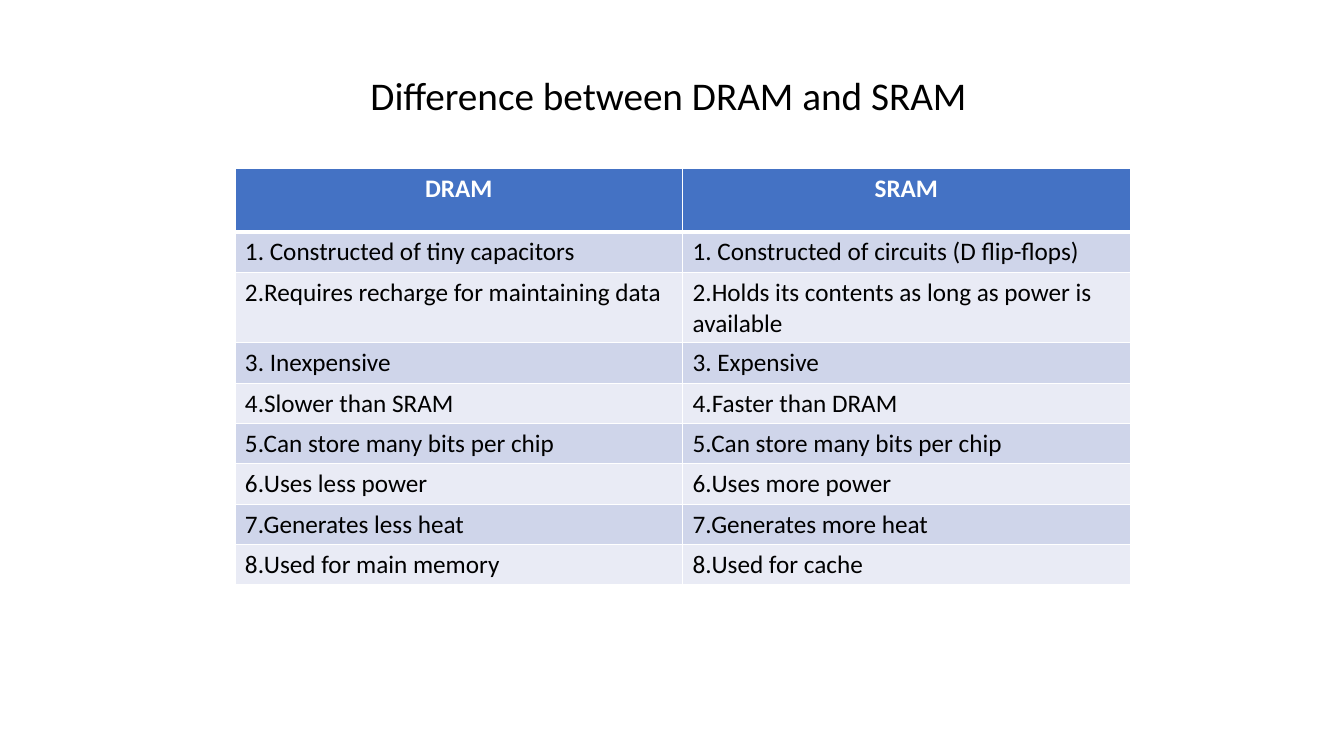
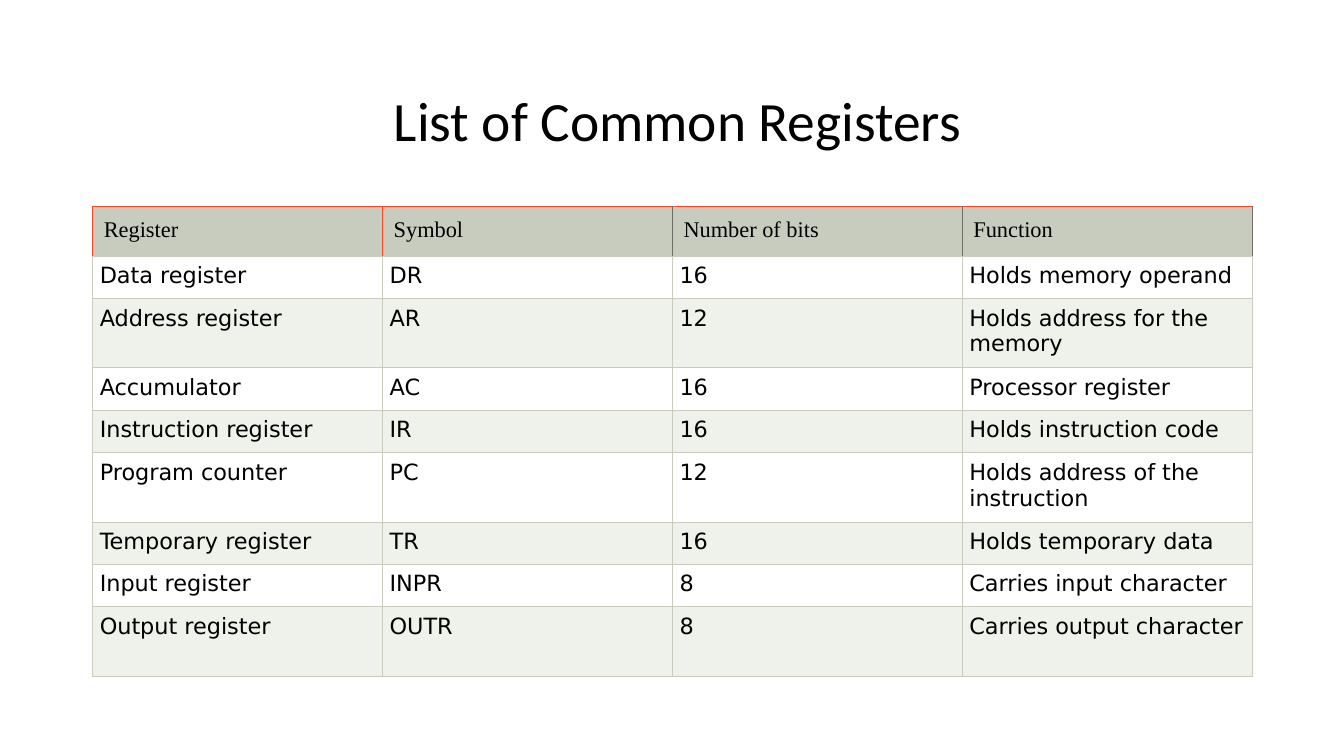
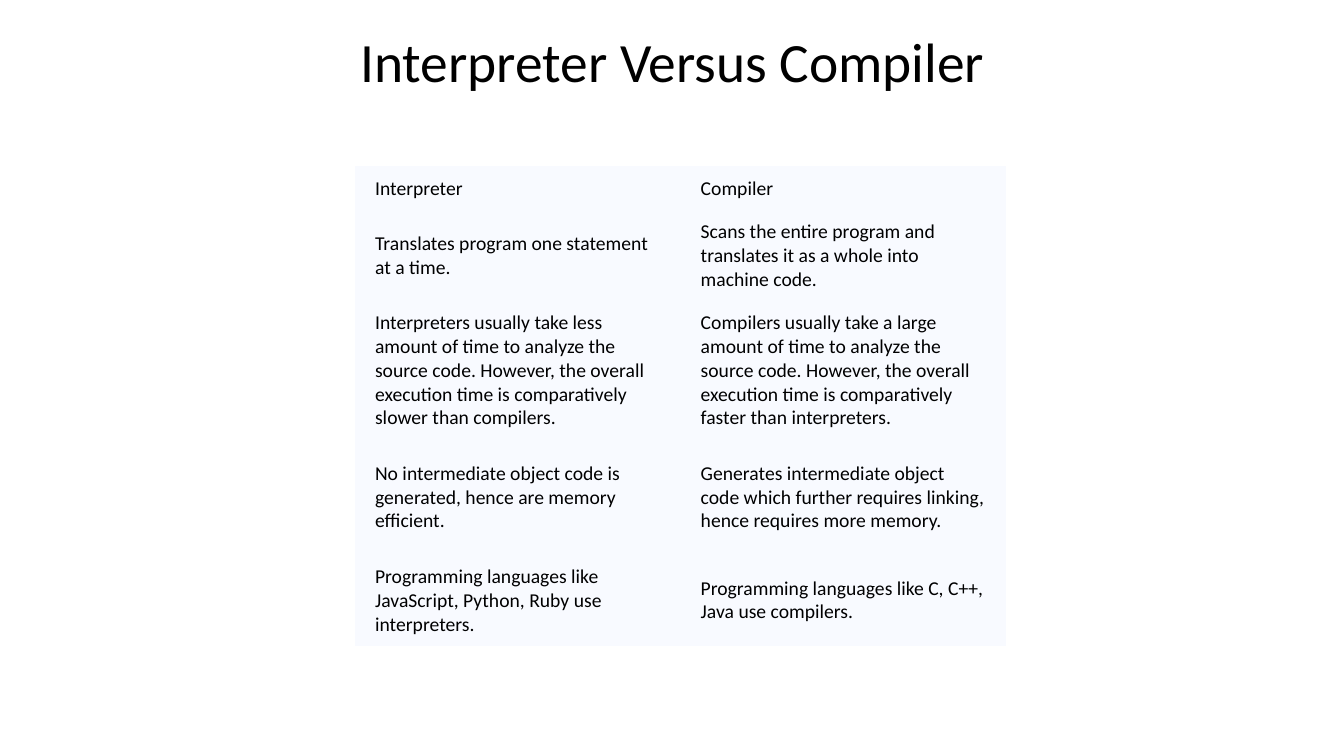
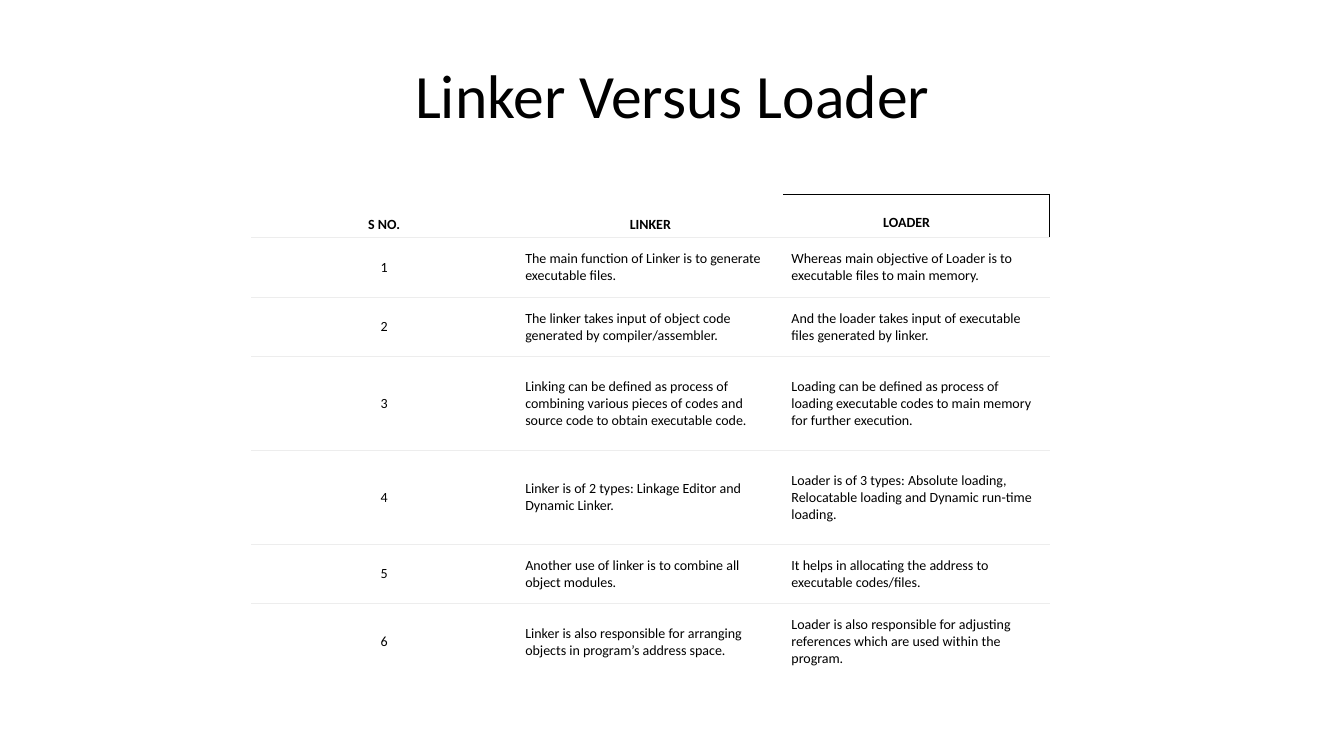
from lxml import etree
from pptx import Presentation
from pptx.dml.color import RGBColor
from pptx.enum.text import MSO_ANCHOR, PP_ALIGN
from pptx.oxml.ns import qn
from pptx.util import Inches, Pt

LEFT, CENTER = PP_ALIGN.LEFT, PP_ALIGN.CENTER
TOP, MIDDLE, BOTTOM = MSO_ANCHOR.TOP, MSO_ANCHOR.MIDDLE, MSO_ANCHOR.BOTTOM

BLACK, WHITE = "000000", "FFFFFF"
BLUE, BLUE_BAND, PALE_BLUE_BAND = "4472C4", "CFD5EA", "E9EBF5"
OLIVE, OLIVE_BAND = "C7CCBE", "EFF1EB"
GHOST = "F8FAFF"
TITLE_FONT = "Calibri"
TITLE_WIDTH, TITLE_HEIGHT = 11.5, 1.0

# Borders are (colour, points); a side that is not listed has no line.
THIN_WHITE, THICK_WHITE = (WHITE, 1), (WHITE, 3)
OLIVE_LINE, RED_LINE, DARK_LINE = (OLIVE, 0.75), ("F84928", 0.75), ("6B7060", 0.75)
GRAY_LINE = ("EDEDED", 0.75)
HEADER_VERTICALS = [RED_LINE, RED_LINE, DARK_LINE, DARK_LINE, DARK_LINE]


def text_style(font, size, color=BLACK, bold=False, align=LEFT, anchor=TOP, inset=(0.1, 0.05)):
    return dict(font=font, size=size, color=color, bold=bold, align=align,
                anchor=anchor, inset=inset)


INTERPRETER_STYLE = text_style("Calibri", 14, anchor=MIDDLE, inset=(0.2, 0.1))

SLIDES = [
    {
        "title": "Difference between DRAM and SRAM",
        "title_size": 28, "title_left": 0.88, "title_middle": 0.97,
        "left": 2.33, "top": 1.67, "column_width": 4.44,
        "row_heights": [0.63, 0.4, 0.7] + [0.4] * 6,
        "header": text_style("Calibri", 18, WHITE, bold=True, align=CENTER),
        "body": text_style("Calibri", 18),
        "header_fill": BLUE, "bands": [BLUE_BAND, PALE_BLUE_BAND],
        "borders": dict.fromkeys("LRTB", THIN_WHITE),
        "header_borders": {"B": THICK_WHITE},
        "rows": [
            ("DRAM", "SRAM"),
            ("1. Constructed of tiny capacitors", "1. Constructed of circuits (D flip-flops)"),
            ("2.Requires recharge for maintaining data",
             "2.Holds its contents as long as power is available"),
            ("3. Inexpensive", "3. Expensive"),
            ("4.Slower than SRAM", "4.Faster than DRAM"),
            ("5.Can store many bits per chip", "5.Can store many bits per chip"),
            ("6.Uses less power", "6.Uses more power"),
            ("7.Generates less heat", "7.Generates more heat"),
            ("8.Used for main memory", "8.Used for cache"),
        ],
    },
    {
        "title": "List of Common Registers",
        "title_size": 39.6, "title_left": 0.97, "title_middle": 1.23,
        "left": 0.92, "top": 2.05, "column_width": 2.875,
        "row_heights": [0.49, 0.42, 0.69, 0.42, 0.42, 0.69, 0.42, 0.42, 0.69],
        "header": text_style("Times New Roman", 16, inset=(0.11, 0.11)),
        "body": text_style("DejaVu Sans", 16, inset=(0.07, 0.07)),
        "header_fill": OLIVE, "bands": [WHITE, OLIVE_BAND],
        "borders": dict.fromkeys("LRTB", OLIVE_LINE),
        "header_borders": {"T": RED_LINE},
        "cell_borders": {
            (0, column): {"L": HEADER_VERTICALS[column], "R": HEADER_VERTICALS[column + 1]}
            for column in range(4)
        },
        "rows": [
            ("Register", "Symbol", "Number of bits", "Function"),
            ("Data register", "DR", "16", "Holds memory operand"),
            ("Address register", "AR", "12", "Holds address for the memory"),
            ("Accumulator", "AC", "16", "Processor register"),
            ("Instruction register", "IR", "16", "Holds instruction code"),
            ("Program counter", "PC", "12", "Holds address of the instruction"),
            ("Temporary register", "TR", "16", "Holds temporary data"),
            ("Input register", "INPR", "8", "Carries input character"),
            ("Output register", "OUTR", "8", "Carries output character"),
        ],
    },
    {
        "title": "Interpreter Versus Compiler",
        "title_size": 39.6, "title_left": 0.92, "title_middle": 0.64,
        "left": 3.52, "top": 1.65, "column_width": 3.23,
        "row_heights": [0.43, 0.9, 1.38, 1.14, 0.9],
        "header": INTERPRETER_STYLE, "body": INTERPRETER_STYLE,
        "header_fill": GHOST, "bands": [GHOST],
        "rows": [
            ("Interpreter", "Compiler"),
            ("Translates program one statement at a time.",
             "Scans the entire program and translates it as a whole into machine code."),
            ("Interpreters usually take less amount of time to analyze the source code. "
             "However, the overall execution time is comparatively slower than compilers.",
             "Compilers usually take a large amount of time to analyze the source code. "
             "However, the overall execution time is comparatively faster than interpreters."),
            ("No intermediate object code is generated, hence are memory efficient.",
             "Generates intermediate object code which further requires linking, "
             "hence requires more memory."),
            ("Programming languages like JavaScript, Python, Ruby use interpreters.",
             "Programming languages like C, C++, Java use compilers."),
        ],
    },
    {
        "title": "Linker Versus Loader",
        "title_size": 44, "title_left": 0.92, "title_middle": 0.98,
        "left": 2.49, "top": 1.93, "column_width": 2.64,
        "row_heights": [0.43, 0.59, 0.59, 0.93, 0.93, 0.59, 0.76],
        "header": text_style("Calibri", 10, bold=True, align=CENTER, anchor=BOTTOM,
                             inset=(0.05, 0.05)),
        "body": text_style("Calibri", 10, anchor=MIDDLE, inset=(0.08, 0.04)),
        "cell_styles": {
            (0, 2): {"align": LEFT, "inset": (0.99, 0.07)},
            **{(row, 0): {"align": CENTER} for row in range(1, 7)},
        },
        "header_fill": WHITE, "bands": [WHITE],
        "borders": {"T": GRAY_LINE, "B": GRAY_LINE},
        "header_borders": {"T": None},
        "cell_borders": {
            (0, 2): {"T": (BLACK, 1), "R": (BLACK, 1.5)},
            **{(6, column): {"B": None} for column in range(3)},
        },
        "rows": [
            ("S NO.", "LINKER", "LOADER"),
            ("1", "The main function of Linker is to generate executable files.",
             "Whereas main objective of Loader is to executable files to main memory."),
            ("2", "The linker takes input of object code generated by compiler/assembler.",
             "And the loader takes input of executable files generated by linker."),
            ("3", "Linking can be defined as process of combining various pieces of codes "
             "and source code to obtain executable code.",
             "Loading can be defined as process of loading executable codes to main memory "
             "for further execution."),
            ("4", "Linker is of 2 types: Linkage Editor and Dynamic Linker.",
             "Loader is of 3 types: Absolute loading, Relocatable loading and "
             "Dynamic run-time loading."),
            ("5", "Another use of linker is to combine all object modules.",
             "It helps in allocating the address to executable codes/files."),
            ("6", "Linker is also responsible for arranging objects in program’s address space.",
             "Loader is also responsible for adjusting references which are used "
             "within the program."),
        ],
    },
]


def rgb(color):
    return RGBColor.from_string(color)


def format_paragraph(paragraph, font, size, color, bold, align):
    paragraph.alignment = align
    for run in paragraph.runs:
        run.font.name = font
        run.font.size = Pt(size)
        run.font.bold = bold
        run.font.color.rgb = rgb(color)


def add_title(slide, content):
    top = content["title_middle"] - TITLE_HEIGHT / 2
    shape = slide.shapes.add_textbox(Inches(content["title_left"]), Inches(top),
                                     Inches(TITLE_WIDTH), Inches(TITLE_HEIGHT))
    text_frame = shape.text_frame
    text_frame.word_wrap = True
    text_frame.vertical_anchor = MIDDLE
    text_frame.text = content["title"]
    paragraph = text_frame.paragraphs[0]
    paragraph.line_spacing = 0.9
    format_paragraph(paragraph, TITLE_FONT, content["title_size"], BLACK, False, CENTER)


def borders_of(content, row, column):
    """Merge the table's, the header's and the cell's own borders."""
    borders = dict(content.get("borders", {}))
    header_borders = content.get("header_borders", {})
    if row == 0:
        borders.update(header_borders)
    elif row == 1 and "B" in header_borders:
        borders["T"] = header_borders["B"]
    borders.update(content.get("cell_borders", {}).get((row, column), {}))
    return borders


def set_borders(cell, borders):
    """Add the border lines; call before the fill, which must follow them."""
    properties = cell._tc.get_or_add_tcPr()
    for side in "LRTB":
        line = etree.SubElement(properties, qn(f"a:ln{side}"))
        if borders.get(side):
            color, width = borders[side]
            line.set("w", str(Pt(width)))
            fill = etree.SubElement(line, qn("a:solidFill"))
            etree.SubElement(fill, qn("a:srgbClr")).set("val", color)
        else:
            etree.SubElement(line, qn("a:noFill"))


def fill_cell(cell, text, style, fill, borders):
    horizontal, vertical = style["inset"]
    cell.margin_left = cell.margin_right = Inches(horizontal)
    cell.margin_top = cell.margin_bottom = Inches(vertical)
    cell.vertical_anchor = style["anchor"]
    set_borders(cell, borders)
    cell.fill.solid()
    cell.fill.fore_color.rgb = rgb(fill)
    cell.text_frame.text = text
    format_paragraph(cell.text_frame.paragraphs[0], style["font"], style["size"],
                     style["color"], style["bold"], style["align"])


def add_content_table(slide, content):
    rows, heights, width = content["rows"], content["row_heights"], content["column_width"]
    column_count = len(rows[0])
    table = slide.shapes.add_table(
        len(rows), column_count, Inches(content["left"]), Inches(content["top"]),
        Inches(width * column_count), Inches(sum(heights))).table
    table.first_row = table.horz_banding = False
    for column in table.columns:
        column.width = Inches(width)
    bands = content["bands"]
    for row, texts in enumerate(rows):
        table.rows[row].height = Inches(heights[row])
        base_style = content["body"] if row else content["header"]
        fill = bands[(row - 1) % len(bands)] if row else content["header_fill"]
        for column, text in enumerate(texts):
            style = {**base_style, **content.get("cell_styles", {}).get((row, column), {})}
            fill_cell(table.cell(row, column), text, style, fill,
                      borders_of(content, row, column))


def main():
    presentation = Presentation()
    presentation.slide_width = Inches(13.33)
    presentation.slide_height = Inches(7.5)
    blank_layout = presentation.slide_layouts[6]
    for content in SLIDES:
        slide = presentation.slides.add_slide(blank_layout)
        add_title(slide, content)
        add_content_table(slide, content)
    presentation.save("out.pptx")


if __name__ == "__main__":
    main()
